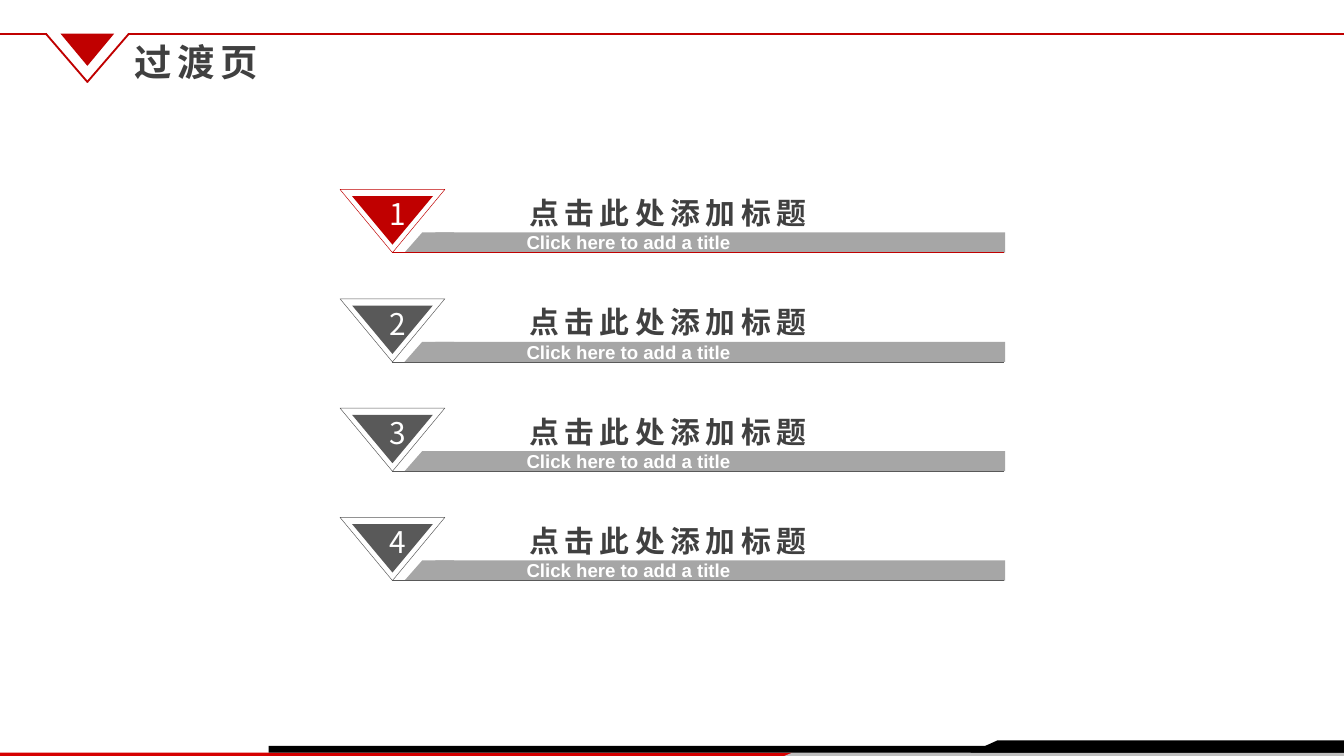
from dataclasses import dataclass

from lxml import etree
from pptx import Presentation
from pptx import util as u
from pptx.dml.color import RGBColor
from pptx.enum import shapes, text
from pptx.oxml import ns


@dataclass(frozen=True)
class Theme:
    red: str = "C00000"
    footer_red: str = "D60000"
    footer_grey: str = "BFBFBF"
    black: str = "000000"
    white: str = "FFFFFF"
    ink: str = "404040"
    dark: str = "595959"
    bar: str = "A6A6A6"
    cjk: str = "Noto Sans CJK SC"
    latin: str = "Arial"
    title_size: int = 20
    item_size: int = 16
    caption_size: int = 10


theme = Theme()


def paint(part, fill=None, line=None, width=1):
    """Fill and outline a shape or connector, without a shadow."""
    if hasattr(part, "begin_x"):
        etree.SubElement(part._element.spPr, ns.qn("a:effectLst"))
    else:
        part.shadow.inherit = False
        if fill:
            part.fill.solid()
            part.fill.fore_color.rgb = RGBColor.from_string(fill)
        else:
            part.fill.background()
    if line:
        part.line.color.rgb = RGBColor.from_string(line)
        part.line.width = u.Pt(width)
    else:
        part.line.fill.background()


def write(box, words, size, color, font, bold=True, spacing=0, align=text.PP_ALIGN.LEFT):
    """Set one line of text at the top of a box."""
    frame = box.text_frame
    frame.text = words
    frame.word_wrap = True
    frame.auto_size = text.MSO_AUTO_SIZE.NONE
    frame.vertical_anchor = text.MSO_ANCHOR.TOP
    line = frame.paragraphs[0]
    line.alignment = align
    run = line.runs[0]
    run.font.size = u.Pt(size)
    run.font.bold = bold
    run.font.name = font
    run.font.color.rgb = RGBColor.from_string(color)
    properties = run.font._element
    properties.set("spc", str(spacing * 100))
    etree.SubElement(properties, ns.qn("a:ea")).set("typeface", font)


deck = Presentation()
deck.slide_width, deck.slide_height = u.Inches(10), u.Inches(10) * 9 // 16
slide = deck.slides.add_slide(deck.slide_layouts[5])
add_shape = slide.shapes.add_shape
add_connector = slide.shapes.add_connector
add_textbox = slide.shapes.add_textbox
preset = shapes.MSO_SHAPE
straight = shapes.MSO_CONNECTOR.STRAIGHT

# Footer bands and header notch: corners, closed, fill, line
outlines = [
    ([(0, 5.6), (5.98, 5.6), (5.85, 5.65), (0, 5.65)], True, theme.footer_red, None),
    ([(5.92, 5.59), (10, 5.59), (10, 5.64), (5.8, 5.64)], True, theme.footer_grey, None),
    ([(7.42, 5.51), (10, 5.51), (10, 5.6), (7.22, 5.6)], True, theme.black, None),
    ([(0.34, 0.25), (0.65, 0.61), (0.96, 0.25)], False, None, theme.red),
]
for corners, closed, fill, line in outlines:
    points = [(u.Inches(x), u.Inches(y)) for x, y in corners]
    outline = slide.shapes.build_freeform(*points[0])
    outline.add_line_segments(points[1:], close=closed)
    paint(outline.convert_to_shape(), fill, line)
footer_strip = add_shape(preset.RECTANGLE, u.Inches(2), u.Inches(5.55), u.Inches(8), u.Inches(0.05))
paint(footer_strip, theme.black)

# Header rule and marker
for start, end in [(0, 0.35), (0.95, 10)]:
    rule = add_connector(straight, u.Inches(start), u.Inches(0.25), u.Inches(end), u.Inches(0.25))
    paint(rule, line=theme.red)
marker = add_shape(preset.ISOSCELES_TRIANGLE, u.Inches(0.45), u.Inches(0.25), u.Inches(0.4), u.Inches(0.24))
marker.rotation = 180
paint(marker, theme.red)

# Title
title = slide.shapes.title
title.left, title.top, title.width, title.height = map(u.Inches, (0.9, 0.24, 1.34, 0.44))
write(title, "过渡页", theme.title_size, theme.ink, theme.cjk, spacing=3)

# Four agenda items; the first one is current
first_top, last_top, item_count = 1.41, 3.85, 4
pitch = (last_top - first_top) / (item_count - 1)
for index in range(item_count):
    top = first_top + index * pitch
    accent = theme.dark if index else theme.red

    # Grey bar with a slanted left end
    slant = add_shape(preset.PARALLELOGRAM, u.Inches(3.01), u.Inches(top + 0.32), u.Inches(0.37), u.Inches(0.15))
    slant.adjustments[0] = 0.88
    bar = add_shape(preset.RECTANGLE, u.Inches(3.24), u.Inches(top + 0.32), u.Inches(4.24), u.Inches(0.15))
    for part in (slant, bar):
        paint(part, theme.bar)

    # Number badge and underline
    badge = add_shape(preset.ISOSCELES_TRIANGLE, u.Inches(2.62), u.Inches(top + 0.05), u.Inches(0.6), u.Inches(0.36))
    paint(badge, accent)
    frame = add_shape(preset.ISOSCELES_TRIANGLE, u.Inches(2.53), u.Inches(top), u.Inches(0.78), u.Inches(0.47))
    paint(frame, line=accent, width=0.25)
    badge.rotation = frame.rotation = 180
    number = add_textbox(u.Inches(2.72), u.Inches(top), u.Inches(0.4), u.Inches(0.37))
    write(number, str(index + 1), theme.item_size, theme.white, theme.cjk,
          bold=False, spacing=6, align=text.PP_ALIGN.RIGHT)
    underline = add_connector(straight, u.Inches(2.92), u.Inches(top + 0.47), u.Inches(7.47), u.Inches(top + 0.47))
    paint(underline, line=accent, width=0.25)

    # Heading and caption
    heading = add_textbox(u.Inches(3.84), u.Inches(top - 0.01), u.Inches(2.44), u.Inches(0.37))
    write(heading, "点击此处添加标题", theme.item_size, theme.ink, theme.cjk, spacing=3)
    caption = add_textbox(u.Inches(3.82), u.Inches(top + 0.26), u.Inches(2), u.Inches(0.27))
    write(caption, "Click here to add a title", theme.caption_size, theme.white, theme.latin)

deck.save("out.pptx")
